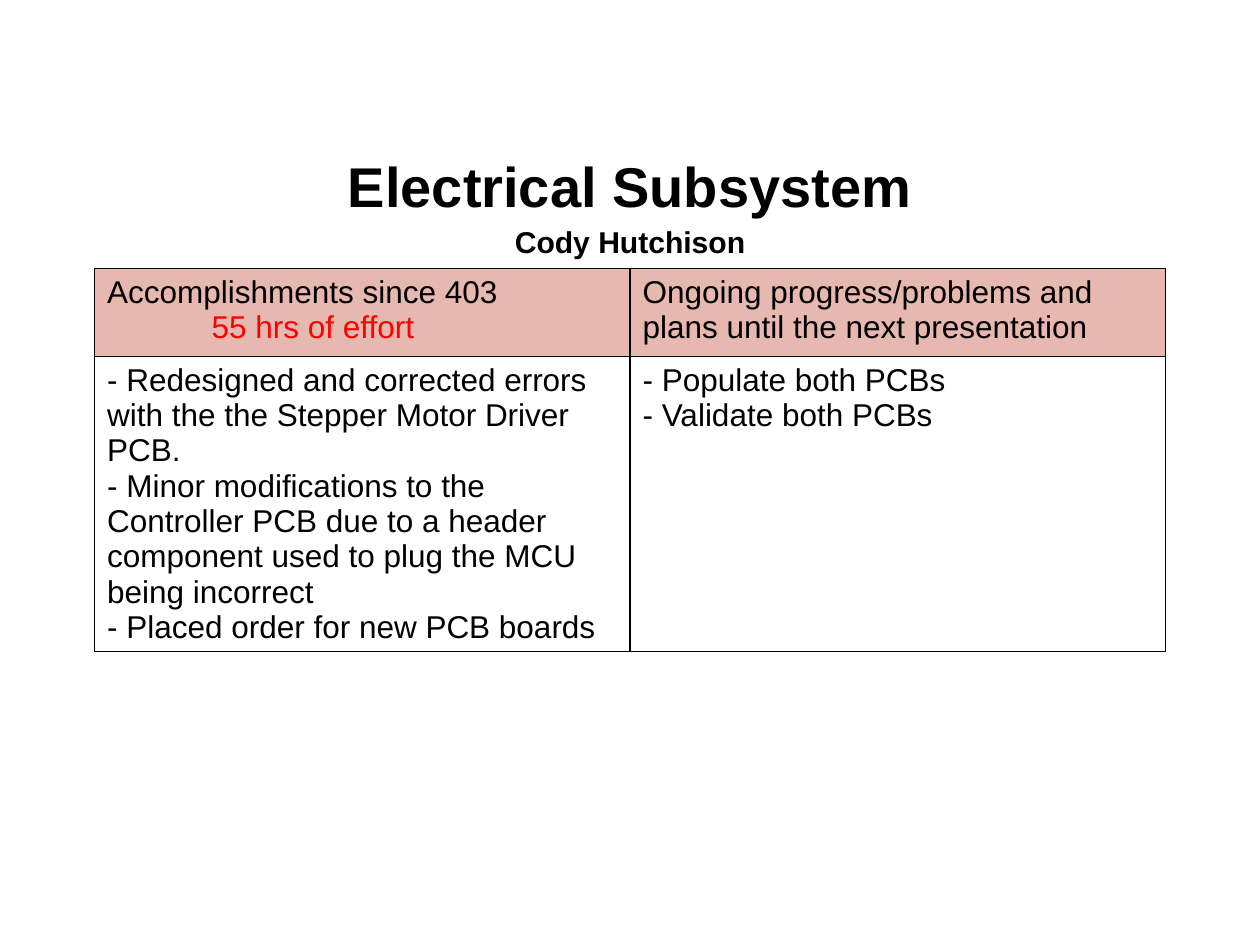
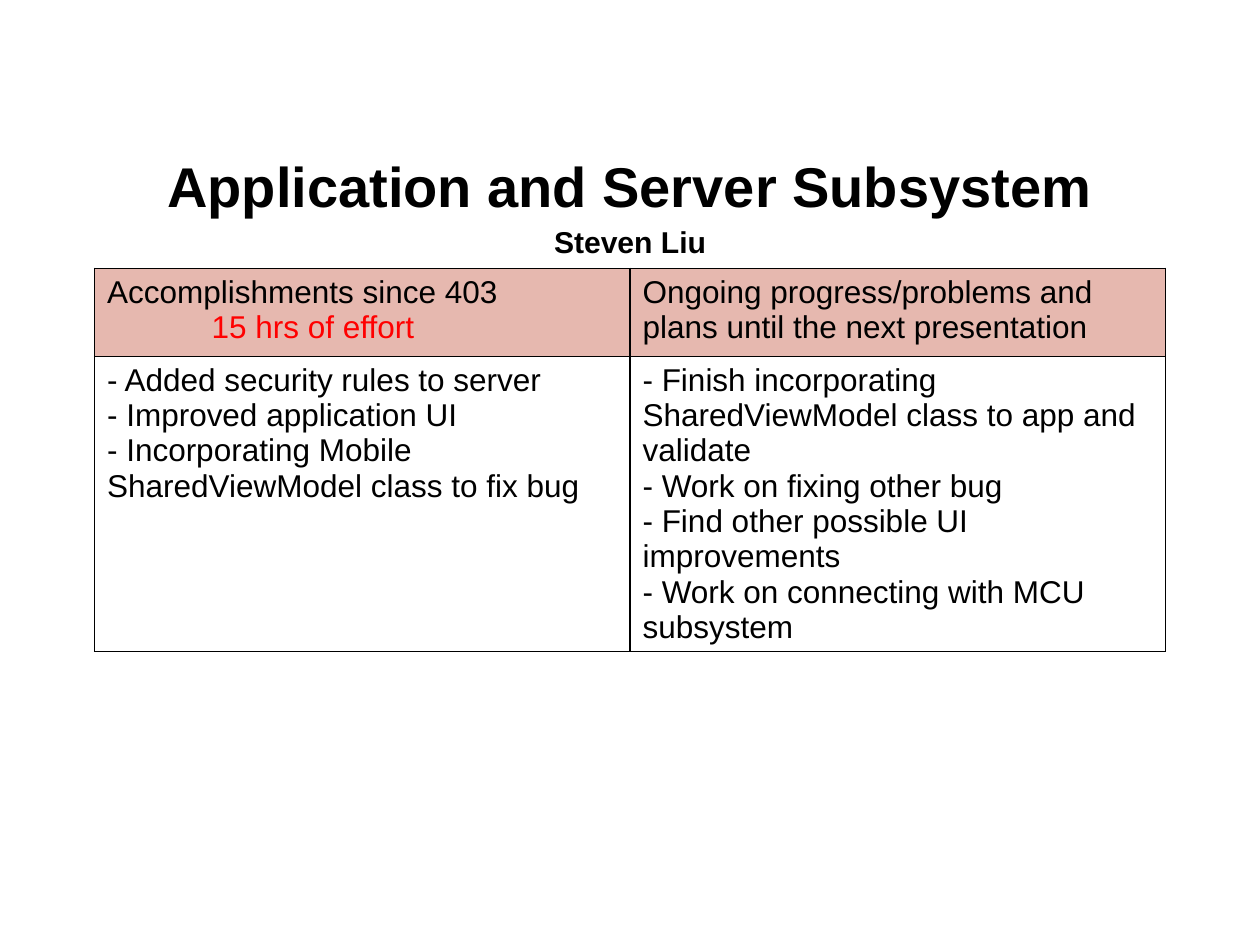
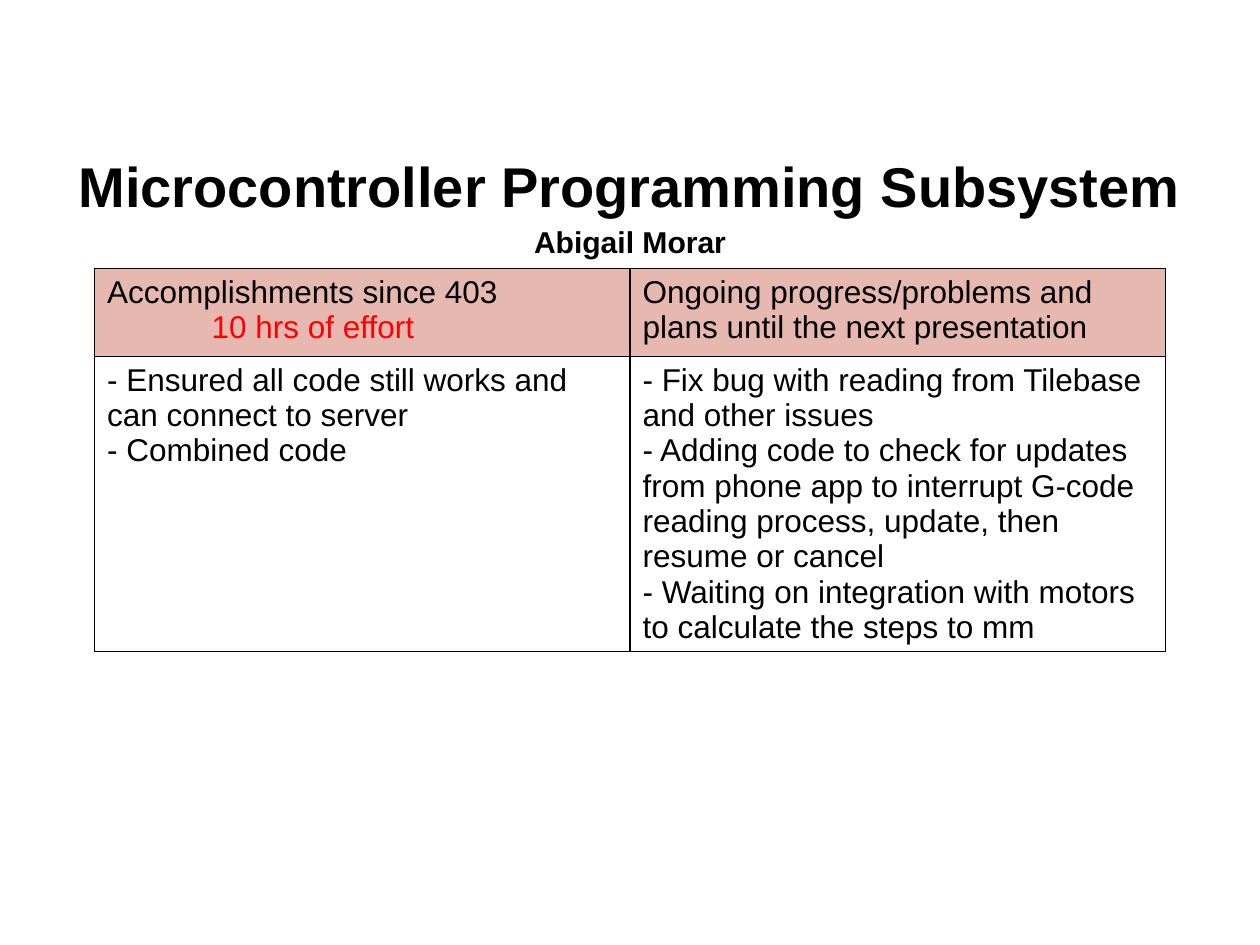
from pptx import Presentation
from pptx.dml.color import RGBColor as Rgb
from pptx.enum.text import MSO_ANCHOR as Anchor, MSO_AUTO_SIZE as Fit, PP_ALIGN as Align
from pptx.oxml import parse_xml
from pptx.oxml.ns import nsdecls
from pptx.util import Inches as In, Pt

FONT = "Arial"
BLACK, RED, PINK = "000000", "FF0000", "E6B8AF"
EDGE = ('<a:{side} {ns} w="12700"><a:solidFill><a:srgbClr val="{hue}"/>'
        '</a:solidFill></a:{side}>')

# Title, presenter, hours, accomplishments, plans
TEAM = [
    ("Electrical Subsystem", "Cody Hutchison", 55,
     ["Redesigned and corrected errors with the the Stepper Motor Driver PCB.",
      "Minor modifications to the Controller PCB due to a header component "
      "used to plug the MCU being incorrect",
      "Placed order for new PCB boards"],
     ["Populate both PCBs", "Validate both PCBs"]),
    ("Application and Server Subsystem", "Steven Liu", 15,
     ["Added security rules to server",
      "Improved application UI",
      "Incorporating Mobile SharedViewModel class to fix bug"],
     ["Finish incorporating SharedViewModel class to app and validate",
      "Work on fixing other bug",
      "Find other possible UI improvements",
      "Work on connecting with MCU subsystem"]),
    ("Microcontroller Programming Subsystem", "Abigail Morar", 10,
     ["Ensured all code still works and can connect to server",
      "Combined code"],
     ["Fix bug with reading from Tilebase and other issues",
      "Adding code to check for updates from phone app to interrupt G-code "
      "reading process, update, then resume or cancel",
      "Waiting on integration with motors to calculate the steps to mm"]),
]


def write(frame, text, size=18, hue=BLACK, bold=False, align=Align.LEFT,
          space=1.0, indent=0):
    """Fill the empty first paragraph, or add one after the last."""
    para = frame.paragraphs[0] if not frame.text else frame.add_paragraph()
    para.alignment, para.line_spacing = align, space
    if indent:
        para._p.get_or_add_pPr().set("marL", str(In(indent)))
    run = para.add_run()
    run.text = text
    font = run.font
    font.name, font.size, font.bold = FONT, Pt(size), bold
    font.color.rgb = Rgb.from_string(hue)


def frame_cell(cell, fill):
    props = cell._tc.get_or_add_tcPr()
    for side in ("lnL", "lnR", "lnT", "lnB"):
        props.append(parse_xml(EDGE.format(side=side, ns=nsdecls("a"), hue=BLACK)))
    if fill:
        cell.fill.solid()
        cell.fill.fore_color.rgb = Rgb.from_string(fill)
    else:
        cell.fill.background()


deck = Presentation()
deck.slide_width, deck.slide_height = wide, high = In(10), In(7.5)
margin = int(wide * 0.05)
inset = int(wide * 0.075)

for topic, name, hours, done, plans in TEAM:
    slide = deck.slides.add_slide(deck.slide_layouts[5])

    title = slide.shapes.title
    title.left, title.top = margin, In(1.15)
    title.width, title.height = wide - 2 * margin, In(0.88)
    head = title.text_frame
    head.auto_size, head.vertical_anchor = Fit.NONE, Anchor.MIDDLE
    for text, size in ((topic, 32), (name, 17.2)):
        write(head, text, size=size, bold=True, align=Align.CENTER, space=1.15)

    holder = slide.shapes.add_table(2, 2, inset, In(2.13), wide - 2 * inset, In(2.6))
    table = holder.table
    table.first_row = table.horz_banding = False
    table.rows[0].height, table.rows[1].height = In(0.7), In(1.9)
    for cell in table.iter_cells():
        frame_cell(cell, None)
    for cell in table.rows[0].cells:
        cell.fill.solid()
        cell.fill.fore_color.rgb = Rgb.from_string(PINK)

    left, right = (cell.text_frame for cell in table.rows[0].cells)
    write(left, "Accomplishments since 403")
    write(left, f"{hours} hrs of effort", hue=RED, indent=0.83)
    write(right, "Ongoing progress/problems and plans until the next presentation")
    for cell, items in zip(table.rows[1].cells, (done, plans)):
        for item in items:
            write(cell.text_frame, f"- {item}")

deck.save("out.pptx")
